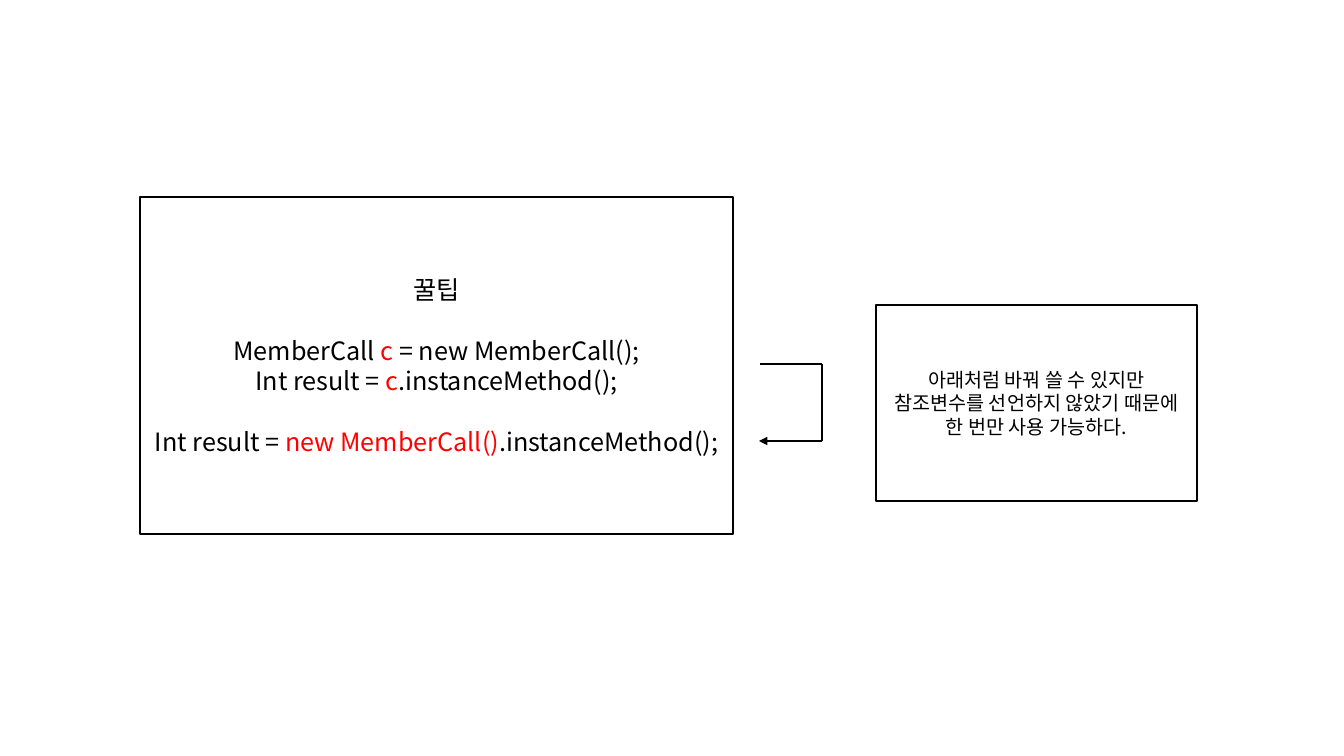
"""Build the slide with a code tip, a return arrow and an explanatory note."""
import itertools
import lxml.etree
import pptx
import pptx.util
import pptx.dml.color
import pptx.enum.shapes
import pptx.enum.text
import pptx.oxml.ns

PX = 914400 / 100.8
FONT = "Noto Sans CJK KR"
COLORS = {"ink": "000000", "accent": "FF0000"}
LINE_RATIO = 1.2

TIP = [
    (0, [("꿀팁", "ink")]),
    (1, [("MemberCall ", "ink"), ("c", "accent"), (" = new MemberCall();", "ink")]),
    (0, [("Int result = ", "ink"), ("c", "accent"), (".instanceMethod();", "ink")]),
    (1, [("Int result = ", "ink"), ("new MemberCall()", "accent"), (".instanceMethod();", "ink")]),
]
NOTE = [(0, [("아래처럼 바꿔 쓸 수 있지만 참조변수를 선언하지 않았기 때문에 한 번만 사용 가능하다.", "ink")])]
BOXES = [((140, 197, 593, 337), 18, TIP), ((876, 305, 321, 196), 14, NOTE)]
ARROW = [(760, 364), (822, 364), (822, 441), (759, 441)]


def px(value):
    return round(value * PX)


def rgb(name):
    return pptx.dml.color.RGBColor.from_string(COLORS[name])


def child(parent, tag, **attributes):
    return lxml.etree.SubElement(parent, pptx.oxml.ns.qn(tag), attributes)


def set_line(line, width):
    line.color.rgb = rgb("ink")
    line.width = pptx.util.Pt(width)


def add_box(slide, frame, size, paragraphs):
    sp = slide.shapes.add_shape(pptx.enum.shapes.MSO_SHAPE.RECTANGLE, *map(px, frame))
    sp.shadow.inherit = False
    sp.fill.background()
    set_line(sp.line, 1)
    tf = sp.text_frame
    tf.word_wrap = True
    tf.vertical_anchor = pptx.enum.text.MSO_ANCHOR.MIDDLE
    pitch = pptx.util.Pt(round(size * LINE_RATIO, 1))
    for i, (gap_lines, runs) in enumerate(paragraphs):
        p = tf.add_paragraph() if i else tf.paragraphs[0]
        p.alignment = pptx.enum.text.PP_ALIGN.CENTER
        p.line_spacing = pitch
        p.space_before = gap_lines * pitch
        p.font.size = pptx.util.Pt(size)
        p.font.name = FONT
        child(p._p.pPr.find(pptx.oxml.ns.qn("a:defRPr")), "a:ea", typeface=FONT)
        for text, color in runs:
            r = p.add_run()
            r.text = text
            r.font.color.rgb = rgb(color)


def add_arrow(slide, points):
    group = slide.shapes.add_group_shape()
    for start, end in itertools.pairwise(points):
        line = group.shapes.add_connector(
            pptx.enum.shapes.MSO_CONNECTOR.STRAIGHT, *map(px, start + end))
        set_line(line.line, 2)
        if end == points[-1]:
            child(line.line._get_or_add_ln(), "a:tailEnd", type="triangle")
        child(line._element.spPr, "a:effectLst")


prs = pptx.Presentation()
prs.slide_width = px(1344)
prs.slide_height = px(756)
slide = prs.slides.add_slide(prs.slide_layouts[6])
tip_box, note_box = BOXES
add_box(slide, *tip_box)
add_arrow(slide, ARROW)
add_box(slide, *note_box)
prs.save("out.pptx")
